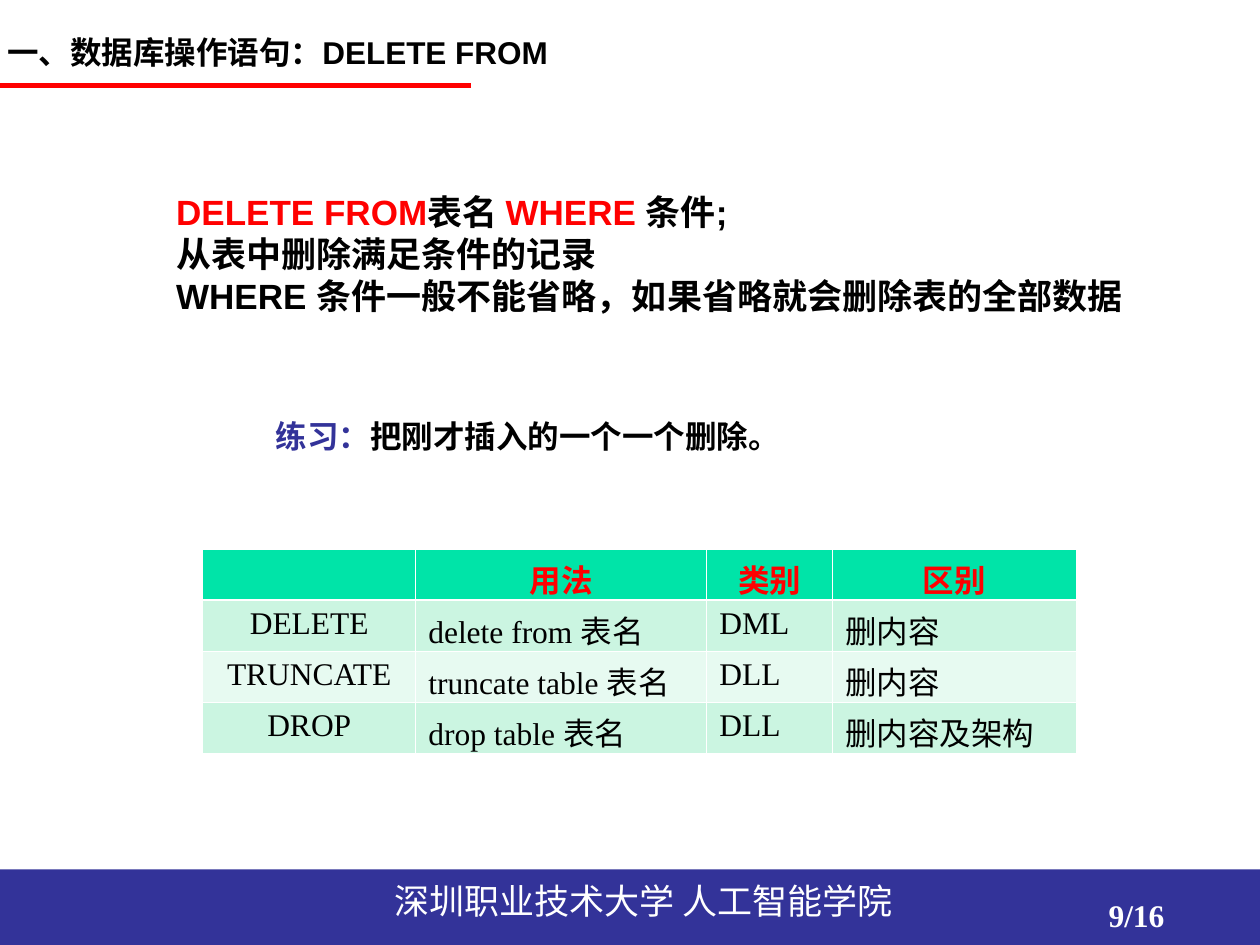
from dataclasses import dataclass

from lxml import etree
from pptx import Presentation
from pptx.dml.color import RGBColor
from pptx.enum import shapes, text
from pptx.oxml import ns
from pptx.util import Inches, Pt

NAVY = RGBColor(0x33, 0x33, 0x99)
RED = RGBColor(0xFF, 0x00, 0x00)
BLACK = RGBColor(0x00, 0x00, 0x00)
WHITE = RGBColor(0xFF, 0xFF, 0xFF)
HEADER_GREEN = RGBColor(0x00, 0xE4, 0xA8)
BAND_GREEN = RGBColor(0xCB, 0xF5, 0xE1)
PALE_GREEN = RGBColor(0xE7, 0xFA, 0xF1)

ARIAL = "Arial"
TIMES = "Times New Roman"
CJK = "Noto Sans CJK SC"


@dataclass(frozen=True)
class Span:
    text: str
    color: RGBColor = BLACK
    font: str = ""


@dataclass(frozen=True)
class TextBlock:
    left: float
    top: float
    width: float
    height: float
    lines: list[list[Span]]
    size: int = 18
    font: str = ARIAL
    bold: bool = True
    anchor: text.MSO_ANCHOR = text.MSO_ANCHOR.TOP


TEXT_BLOCKS = [
    TextBlock(3.03, 6.93, 4.94, 0.44, [[Span("深圳职业技术大学 人工智能学院", WHITE)]],
              size=20, font=CJK, bold=False),
    TextBlock(2.09, 3.26, 8.17, 0.4,
              [[Span("练习：", NAVY), Span("把刚才插入的一个一个删除。")]],
              anchor=text.MSO_ANCHOR.MIDDLE),
    TextBlock(1.3, 1.46, 8.17, 1.1, [
        [Span("DELETE FROM", RED), Span("表名 "), Span("WHERE ", RED), Span("条件;")],
        [Span("从表中删除满足条件的记录")],
        [Span("WHERE 条件"), Span("一般", font=TIMES),
         Span("不能省略，如果省略就会删除表的全部数据")],
    ], size=20, anchor=text.MSO_ANCHOR.MIDDLE),
    TextBlock(-0.04, 0.21, 5.19, 0.4, [[Span("一、数据库操作语句：DELETE FROM")]]),
    TextBlock(8.7, 7.06, 2.33, 0.52, [[Span("9/16", WHITE)]], font=TIMES),
]

COLUMN_WIDTHS = [1.69, 2.31, 1, 1.93]
ROW_HEIGHT = 0.405
COMMANDS = [
    ["", "用法", "类别", "区别"],
    ["DELETE", "delete from 表名", "DML", "删内容"],
    ["TRUNCATE", "truncate table 表名", "DLL", "删内容"],
    ["DROP", "drop table 表名", "DLL", "删内容及架构"],
]


def add_text_block(slide, block: TextBlock) -> None:
    box = slide.shapes.add_textbox(Inches(block.left), Inches(block.top),
                                   Inches(block.width), Inches(block.height))
    frame = box.text_frame
    frame.word_wrap = True
    frame.vertical_anchor = block.anchor
    for index, line in enumerate(block.lines):
        paragraph = frame.add_paragraph() if index else frame.paragraphs[0]
        paragraph.font.size = Pt(block.size)
        paragraph.font.bold = block.bold
        paragraph.font.name = block.font
        for span in line:
            run = paragraph.add_run()
            run.text = span.text
            run.font.color.rgb = span.color
            if span.font:
                run.font.name = span.font


def add_borders(cell, top: float, bottom: float) -> None:
    properties = cell._tc.get_or_add_tcPr()
    edges = [("a:lnL", 0.45), ("a:lnR", 0.45), ("a:lnT", top), ("a:lnB", bottom)]
    for position, (tag, width) in enumerate(edges):
        line = etree.Element(ns.qn(tag), w=str(Pt(width)))
        fill = etree.SubElement(line, ns.qn("a:solidFill"))
        etree.SubElement(fill, ns.qn("a:srgbClr"), val=str(WHITE))
        properties.insert(position, line)


def add_command_table(slide) -> None:
    frame = slide.shapes.add_table(
        len(COMMANDS), len(COLUMN_WIDTHS), Inches(1.61), Inches(4.36),
        Inches(sum(COLUMN_WIDTHS)), Inches(ROW_HEIGHT * len(COMMANDS)))
    table = frame.table
    for column, width in zip(table.columns, COLUMN_WIDTHS):
        column.width = Inches(width)
    for row_index, row in enumerate(COMMANDS):
        is_header = row_index == 0
        band = BAND_GREEN if row_index % 2 else PALE_GREEN
        for column_index, label in enumerate(row):
            cell = table.cell(row_index, column_index)
            cell.text = label
            cell.fill.solid()
            cell.fill.fore_color.rgb = HEADER_GREEN if is_header else band
            add_borders(cell, top=1.47 if row_index == 1 else 0.45,
                        bottom=1.47 if is_header else 0.45)
            paragraph = cell.text_frame.paragraphs[0]
            centered = is_header or column_index == 0
            paragraph.alignment = text.PP_ALIGN.CENTER if centered else text.PP_ALIGN.LEFT
            paragraph.font.size = Pt(18)
            paragraph.font.name = TIMES
            paragraph.font.bold = is_header
            paragraph.font.color.rgb = RED if is_header else BLACK


def add_footer_band(slide) -> None:
    band = slide.shapes.add_shape(shapes.MSO_SHAPE.RECTANGLE, Inches(0), Inches(6.9),
                                  Inches(10), Inches(0.6))
    band.shadow.inherit = False
    band.fill.solid()
    band.fill.fore_color.rgb = NAVY
    band.line.fill.background()


def add_title_rule(slide) -> None:
    rule = slide.shapes.add_connector(shapes.MSO_CONNECTOR.STRAIGHT, Inches(0),
                                      Inches(0.68), Inches(3.74), Inches(0.68))
    rule.line.color.rgb = RED
    rule.line.width = Pt(3)
    etree.SubElement(rule._element.spPr, ns.qn("a:effectLst"))


def main() -> None:
    presentation = Presentation()
    presentation.slide_width = Inches(10)
    presentation.slide_height = Inches(7.5)
    slide = presentation.slides.add_slide(presentation.slide_layouts[6])
    add_footer_band(slide)
    add_title_rule(slide)
    for block in TEXT_BLOCKS:
        add_text_block(slide, block)
    add_command_table(slide)
    presentation.save("out.pptx")


if __name__ == "__main__":
    main()
